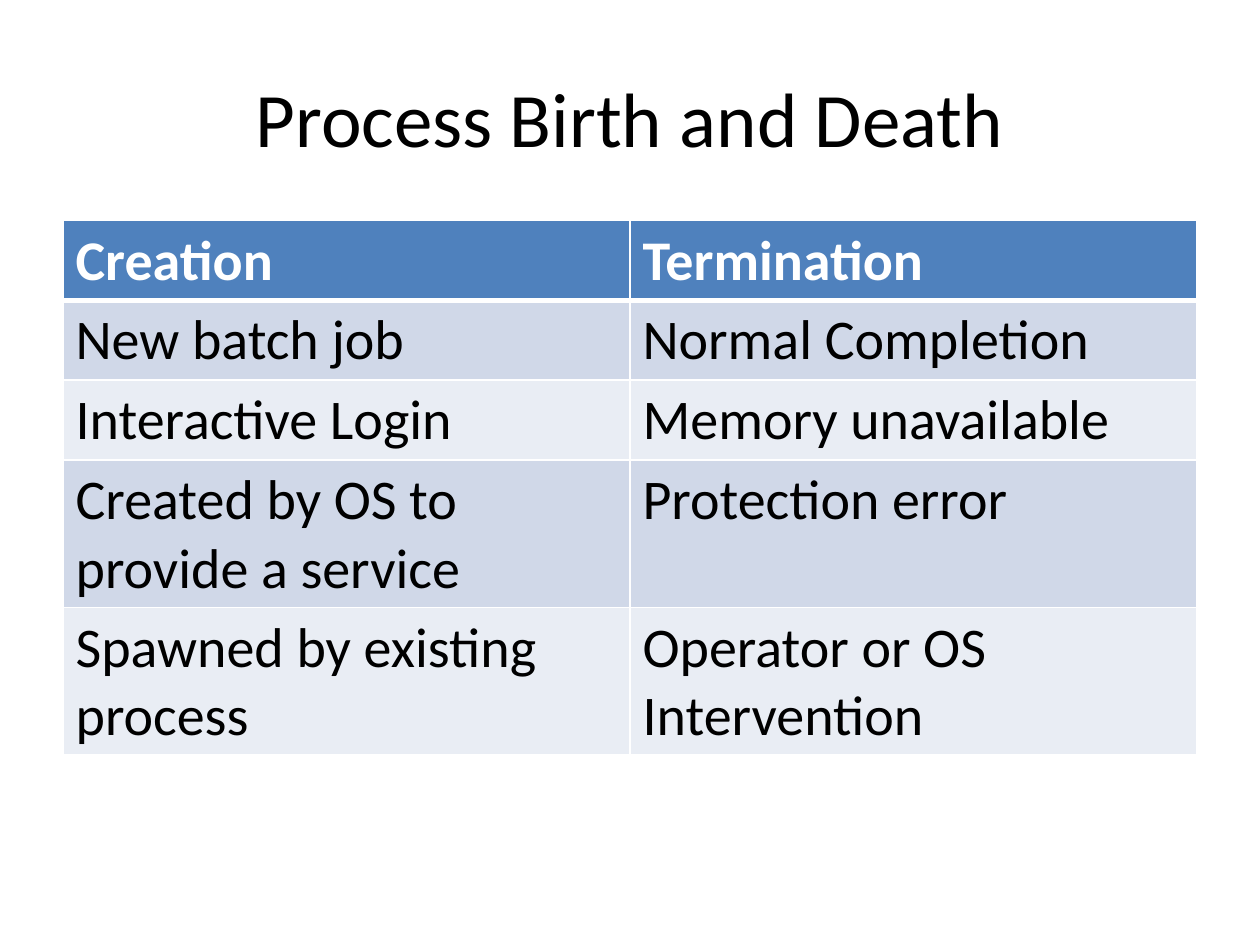
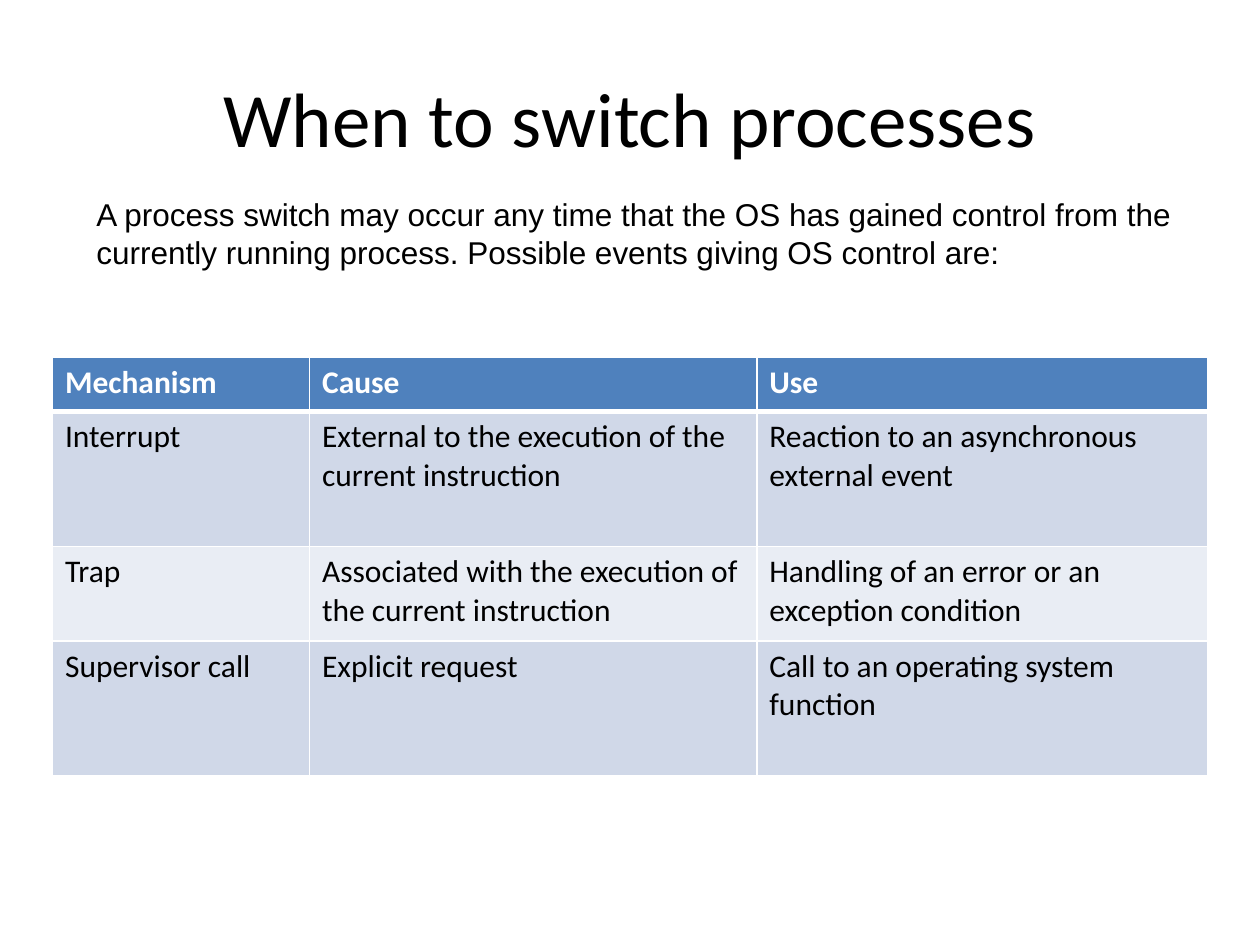
from dataclasses import dataclass

from lxml.etree import SubElement
from pptx import Presentation
from pptx.dml.color import RGBColor
from pptx.enum.text import MSO_ANCHOR as Anchor, PP_ALIGN as Align
from pptx.oxml.ns import qn
from pptx.slide import Slide
from pptx.table import _Cell as Cell
from pptx.text.text import TextFrame
from pptx.util import Pt

COLORS = {
    "text": "000000",
    "header_text": "FFFFFF",
    "header": "4F81BD",
    "odd_row": "D0D8E8",
    "even_row": "E9EDF4",
    "border": "FFFFFF",
}
THIN, THICK = 1, 3


@dataclass(frozen=True)
class TextStyle:
    size: float
    font: str = "Calibri"
    color: str = "text"
    bold: bool = False
    align: Align = Align.LEFT


@dataclass(frozen=True)
class TextBox:
    text: str
    left: float
    top: float
    width: float
    height: float
    style: TextStyle
    anchor: Anchor = Anchor.TOP


@dataclass(frozen=True)
class TableBlock:
    left: float
    top: float
    columns: tuple[float, ...]
    heights: tuple[float, ...]
    size: float
    rows: tuple[tuple[str, ...], ...]


@dataclass(frozen=True)
class SlideContent:
    title: str
    table: TableBlock
    texts: tuple[TextBox, ...] = ()


TITLE_STYLE = TextStyle(44, align=Align.CENTER)

SLIDES = (
    SlideContent(
        "Process Birth and Death",
        TableBlock(
            36, 126, (324, 324), (45.36, 45.36, 45.36, 84.24, 84.24), 32,
            (
                ("Creation", "Termination"),
                ("New batch job", "Normal Completion"),
                ("Interactive Login", "Memory unavailable"),
                ("Created by OS to provide a service", "Protection error"),
                ("Spawned by existing process", "Operator or OS Intervention"),
            ),
        ),
    ),
    SlideContent(
        "When to switch processes",
        TableBlock(
            30, 204, (146.88, 255.6, 257.76), (31.2, 77.04, 54, 77.04), 18,
            (
                ("Mechanism", "Cause", "Use"),
                (
                    "Interrupt",
                    "External to the execution of the current instruction",
                    "Reaction to an asynchronous\nexternal event",
                ),
                (
                    "Trap",
                    "Associated with the execution of the current instruction",
                    "Handling of an error or an\nexception condition",
                ),
                (
                    "Supervisor call",
                    "Explicit request",
                    "Call to an operating system\nfunction",
                ),
            ),
        ),
        (
            TextBox(
                "A process switch may occur any time that the OS has gained control "
                "from the currently running process. Possible events giving OS control are:",
                48, 108, 636, 51, TextStyle(18, "Arial"),
            ),
        ),
    ),
)


def write_text(frame: TextFrame, text: str, style: TextStyle) -> None:
    frame.text = text
    font_values = {"name": style.font, "size": Pt(style.size), "bold": style.bold}
    for paragraph in frame.paragraphs:
        paragraph.alignment = style.align
        for run in paragraph.runs:
            for name, value in font_values.items():
                setattr(run.font, name, value)
            run.font.color.rgb = RGBColor.from_string(COLORS[style.color])


def add_text(slide: Slide, box: TextBox) -> None:
    shape = slide.shapes.add_textbox(
        Pt(box.left), Pt(box.top), Pt(box.width), Pt(box.height)
    )
    shape.text_frame.word_wrap = True
    shape.text_frame.vertical_anchor = box.anchor
    write_text(shape.text_frame, box.text, box.style)


def add_borders(cell: Cell, top: float, bottom: float) -> None:
    properties = cell._tc.get_or_add_tcPr()
    widths = {"lnL": THIN, "lnR": THIN, "lnT": top, "lnB": bottom}
    for side, width in widths.items():
        line = SubElement(properties, qn(f"a:{side}"), w=str(Pt(width)))
        fill = SubElement(line, qn("a:solidFill"))
        SubElement(fill, qn("a:srgbClr"), val=COLORS["border"])


def add_table(slide: Slide, block: TableBlock) -> None:
    table = slide.shapes.add_table(
        len(block.rows), len(block.columns), Pt(block.left), Pt(block.top),
        Pt(sum(block.columns)), Pt(sum(block.heights)),
    ).table
    table.horz_banding = False
    for column, width in zip(table.columns, block.columns):
        column.width = Pt(width)
    for row_index, (height, texts) in enumerate(zip(block.heights, block.rows)):
        table.rows[row_index].height = Pt(height)
        is_header = row_index == 0
        band = "header" if is_header else "odd_row" if row_index % 2 else "even_row"
        style = TextStyle(
            block.size, color="header_text" if is_header else "text", bold=is_header
        )
        for column_index, text in enumerate(texts):
            cell = table.cell(row_index, column_index)
            add_borders(
                cell,
                top=THICK if row_index == 1 else THIN,
                bottom=THICK if is_header else THIN,
            )
            cell.fill.solid()
            cell.fill.fore_color.rgb = RGBColor.from_string(COLORS[band])
            write_text(cell.text_frame, text, style)


def add_slide(presentation: Presentation, content: SlideContent) -> None:
    slide = presentation.slides.add_slide(presentation.slide_layouts[6])
    add_text(
        slide,
        TextBox(content.title, 36, 21.6, 648, 90, TITLE_STYLE, Anchor.MIDDLE),
    )
    add_table(slide, content.table)
    for box in content.texts:
        add_text(slide, box)


def main() -> None:
    presentation = Presentation()
    presentation.slide_width = Pt(720)
    presentation.slide_height = Pt(540)
    for content in SLIDES:
        add_slide(presentation, content)
    presentation.save("out.pptx")


if __name__ == "__main__":
    main()
